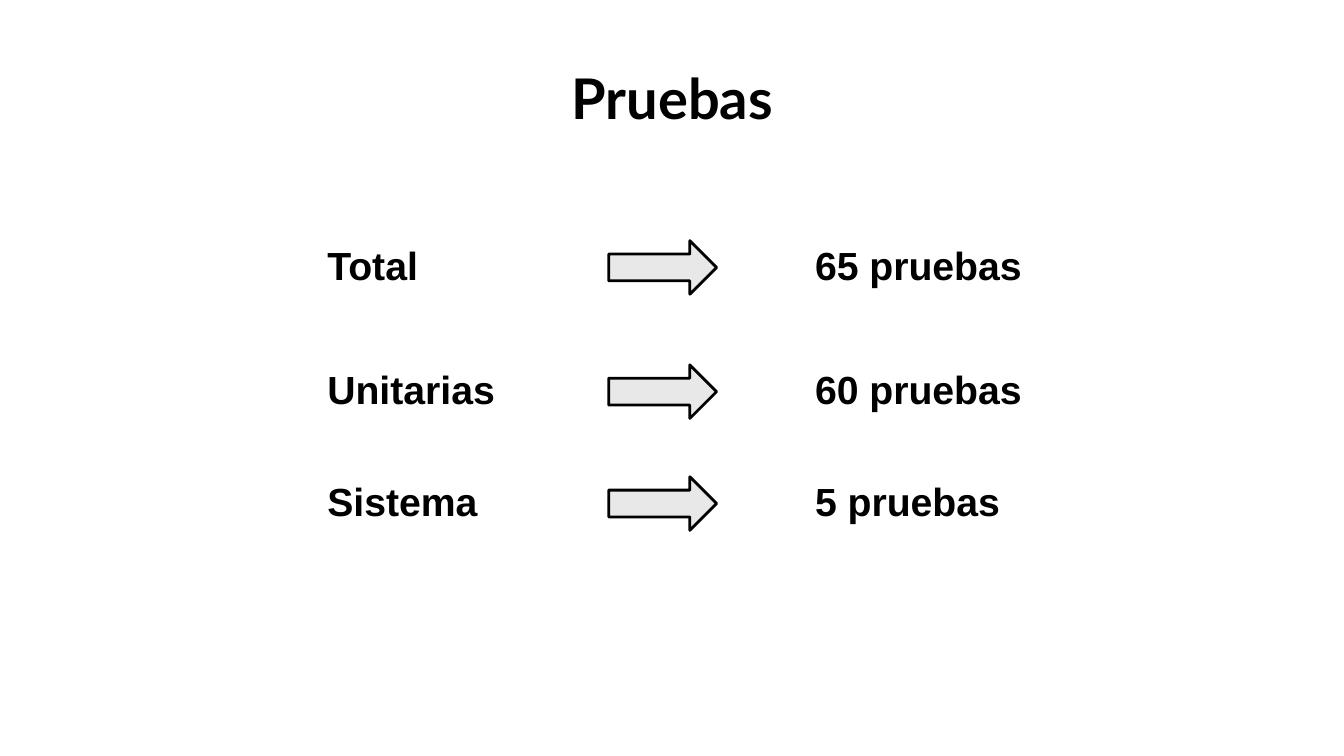
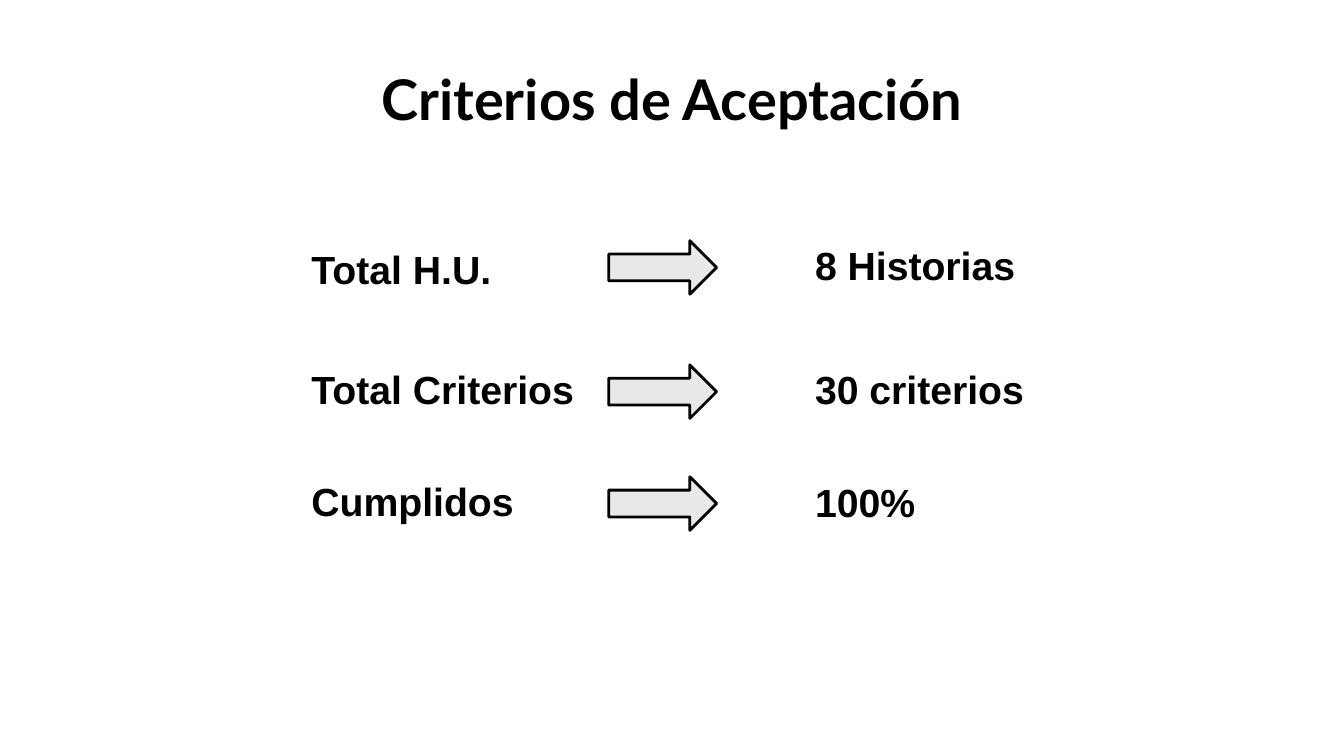
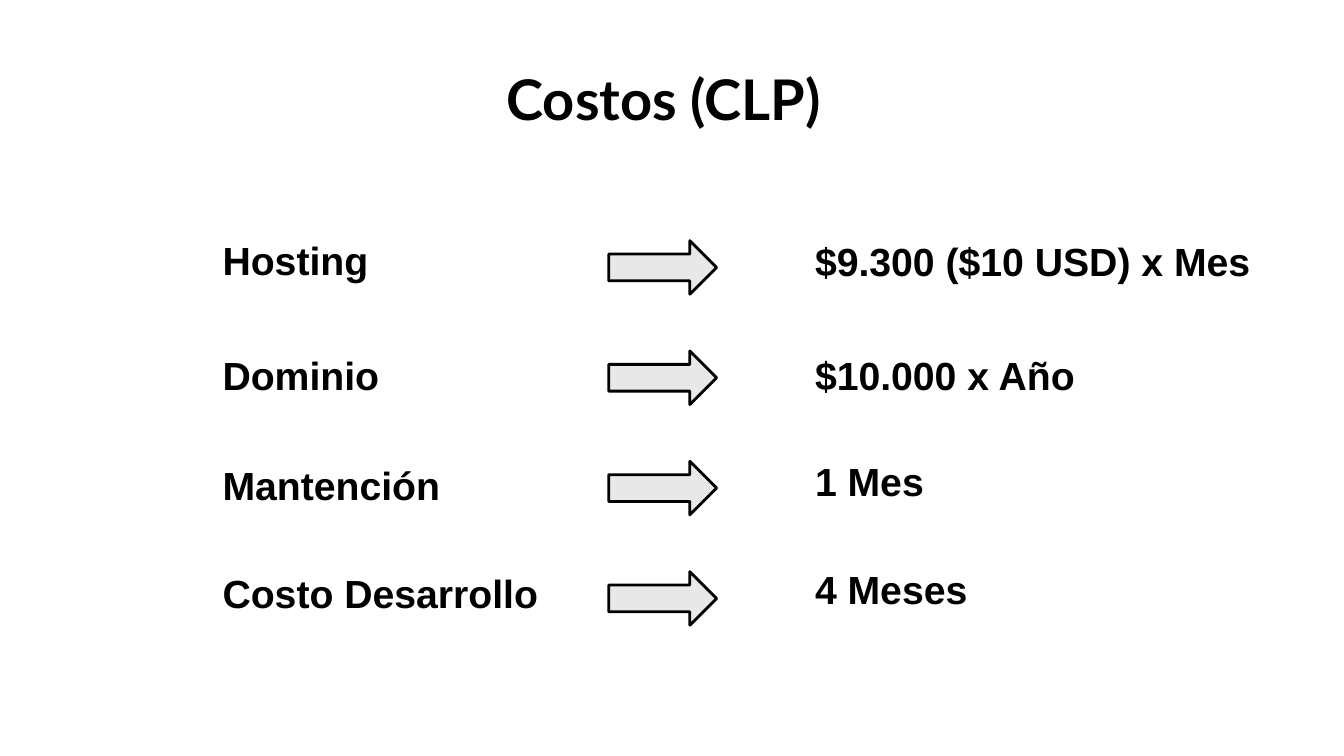
from pptx import Presentation
from pptx.dml.color import RGBColor
from pptx.enum.shapes import MSO_SHAPE
from pptx.enum.text import MSO_ANCHOR, MSO_AUTO_SIZE, PP_ALIGN
from pptx.util import Cm, Pt

RIGHT_ARROW = MSO_SHAPE.RIGHT_ARROW
TOP, MIDDLE = MSO_ANCHOR.TOP, MSO_ANCHOR.MIDDLE
CENTER = PP_ALIGN.CENTER
NO_AUTOFIT = MSO_AUTO_SIZE.NONE
TITLE_ONLY = 5

COLORS = {"ink": "000000", "arrow": "E8E8E8", "background": "FFFFFF"}
TITLE_FONT, BODY_FONT = "Lato", "Arial"

# Lengths in centimetres
SLIDE_WIDTH, SLIDE_HEIGHT = 33.87, 19.05
TITLE_HEIGHT = 1.96
ARROW_LEFT, ARROW_WIDTH, ARROW_HEIGHT = 15.34, 2.72, 1.35
VALUE_LEFT, TEXT_HEIGHT = 20.29, 1
FIRST_ROW = 6.74
THREE_ROWS = [FIRST_ROW, 9.87, 12.69]
FOUR_ROWS = [FIRST_ROW + 2.78 * index for index in range(4)]


def color(name):
    return RGBColor.from_string(COLORS[name])


class Deck:
    def __init__(self):
        self.deck = Presentation()
        self.deck.slide_width = Cm(SLIDE_WIDTH)
        self.deck.slide_height = Cm(SLIDE_HEIGHT)
        self.page = None

    def add_page(self, title, left, top, width):
        self.page = self.deck.slides.add_slide(self.deck.slide_layouts[TITLE_ONLY])
        fill = self.page.background.fill
        fill.solid()
        fill.fore_color.rgb = color("background")
        box = self.page.shapes.title
        box.left, box.top = Cm(left), Cm(top)
        box.width, box.height = Cm(width), Cm(TITLE_HEIGHT)
        para = self.set_text(box, title, TITLE_FONT, 40, TOP)
        para.alignment = CENTER

    def set_text(self, box, text, font_name, size, anchor):
        frame = box.text_frame
        frame.word_wrap = True
        frame.auto_size = NO_AUTOFIT
        frame.vertical_anchor = anchor
        para = frame.paragraphs[0]
        para.text = text
        para.font.name = font_name
        para.font.size = Pt(size)
        para.font.bold = True
        para.font.color.rgb = color("ink")
        return para

    def text(self, text, left, middle, width):
        box = self.page.shapes.add_textbox(
            Cm(left), Cm(middle - TEXT_HEIGHT / 2), Cm(width), Cm(TEXT_HEIGHT))
        self.set_text(box, text, BODY_FONT, 28, MIDDLE).line_spacing = 0.9

    def arrow(self, middle):
        shape = self.page.shapes.add_shape(
            RIGHT_ARROW, Cm(ARROW_LEFT), Cm(middle - ARROW_HEIGHT / 2),
            Cm(ARROW_WIDTH), Cm(ARROW_HEIGHT))
        shape.shadow.inherit = False
        shape.fill.solid()
        shape.fill.fore_color.rgb = color("arrow")
        shape.line.color.rgb = color("ink")
        shape.line.width = Pt(2)

    def rows(self, label_left, middles, rows):
        """Each row holds a label and a value, both as (text, width, vertical shift)."""
        for middle, (label, value) in zip(middles, rows):
            for left, (text, width, shift) in ((label_left, label), (VALUE_LEFT, value)):
                self.text(text, left, middle + shift, width)
            self.arrow(middle)


def main():
    deck = Deck()

    deck.add_page("Pruebas", 13.06, 1.47, 7.77)
    deck.rows(8, THREE_ROWS, [
        (("Total", 5.16, 0), ("65 pruebas", 5.92, 0)),
        (("Unitarias", 5.16, 0), ("60 pruebas", 6.78, 0)),
        (("Sistema", 6.05, 0), ("5 pruebas", 6.78, 0)),
    ])

    deck.add_page("Criterios de Aceptación", 7.37, 1.5, 19.13)
    deck.rows(7.6, THREE_ROWS, [
        (("Total H.U.", 5.6, 0.1), ("8 Historias", 5.92, 0)),
        (("Total Criterios", 7.29, 0), ("30 criterios", 6.78, 0)),
        (("Cumplidos", 5.87, 0), ("100%", 6.78, 0.03)),
    ])

    deck.add_page("Costos (CLP)", 7.16, 1.5, 19.13)
    deck.rows(5.36, FOUR_ROWS, [
        (("Hosting", 5.49, -0.12), ("$9.300 ($10 USD) x Mes", 12.88, -0.09)),
        (("Dominio", 7.29, 0), ("$10.000 x Año", 12.07, 0)),
        (("Mantención", 6.4, 0), ("1 Mes", 6.78, -0.1)),
        (("Costo Desarrollo", 9.25, -0.07), ("4 Meses", 6.78, -0.18)),
    ])

    deck.deck.save("out.pptx")


if __name__ == "__main__":
    main()
